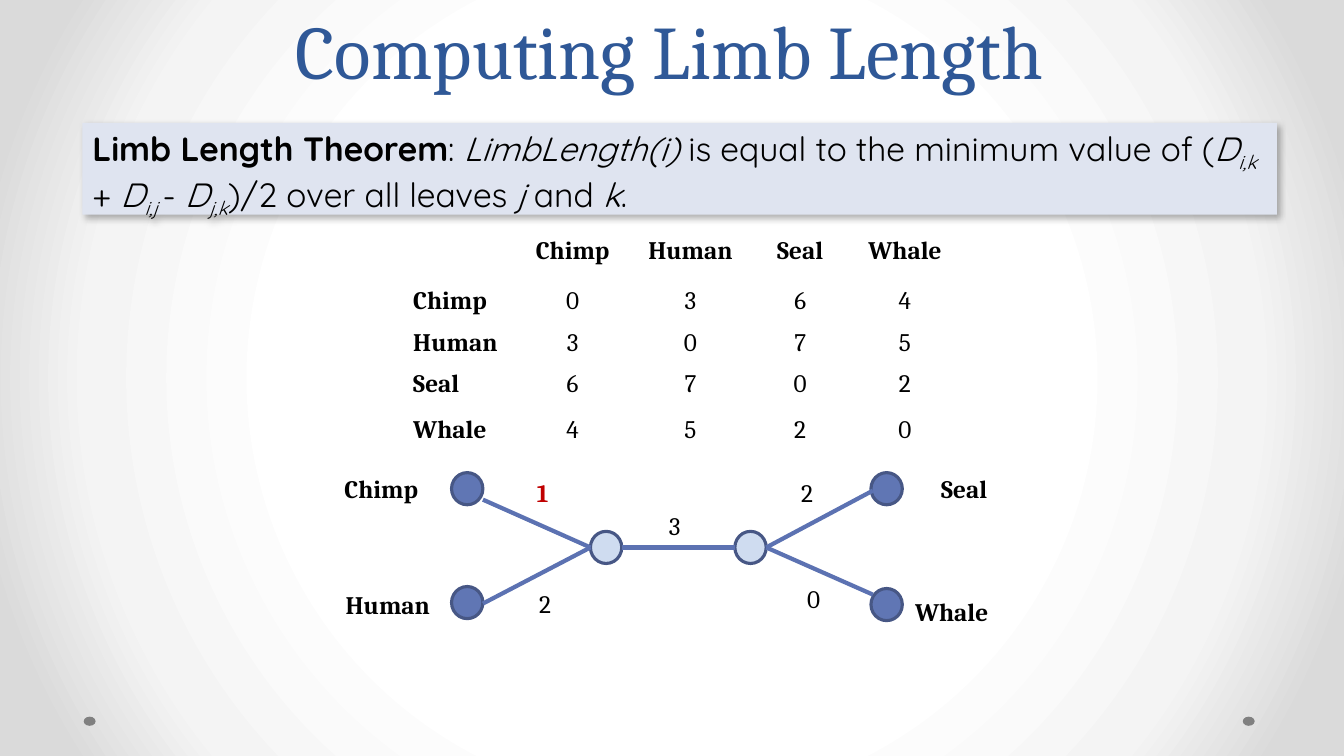
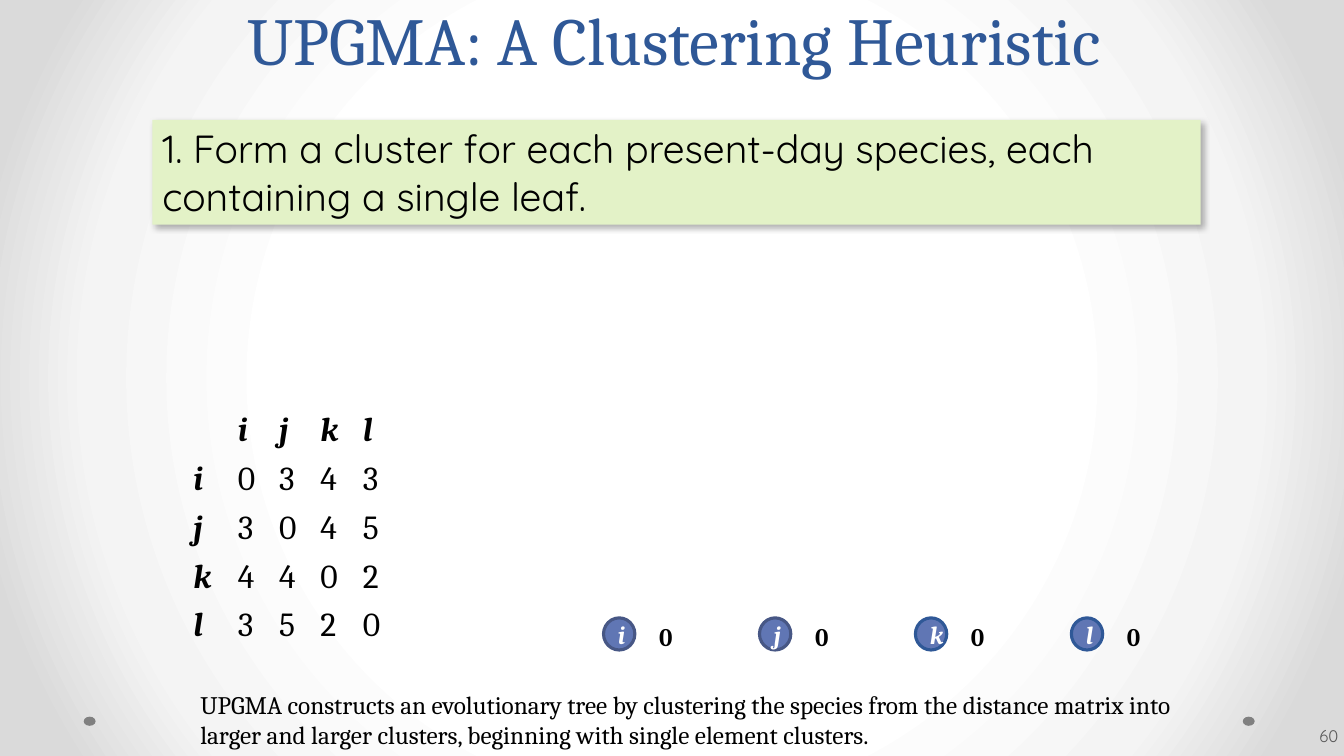
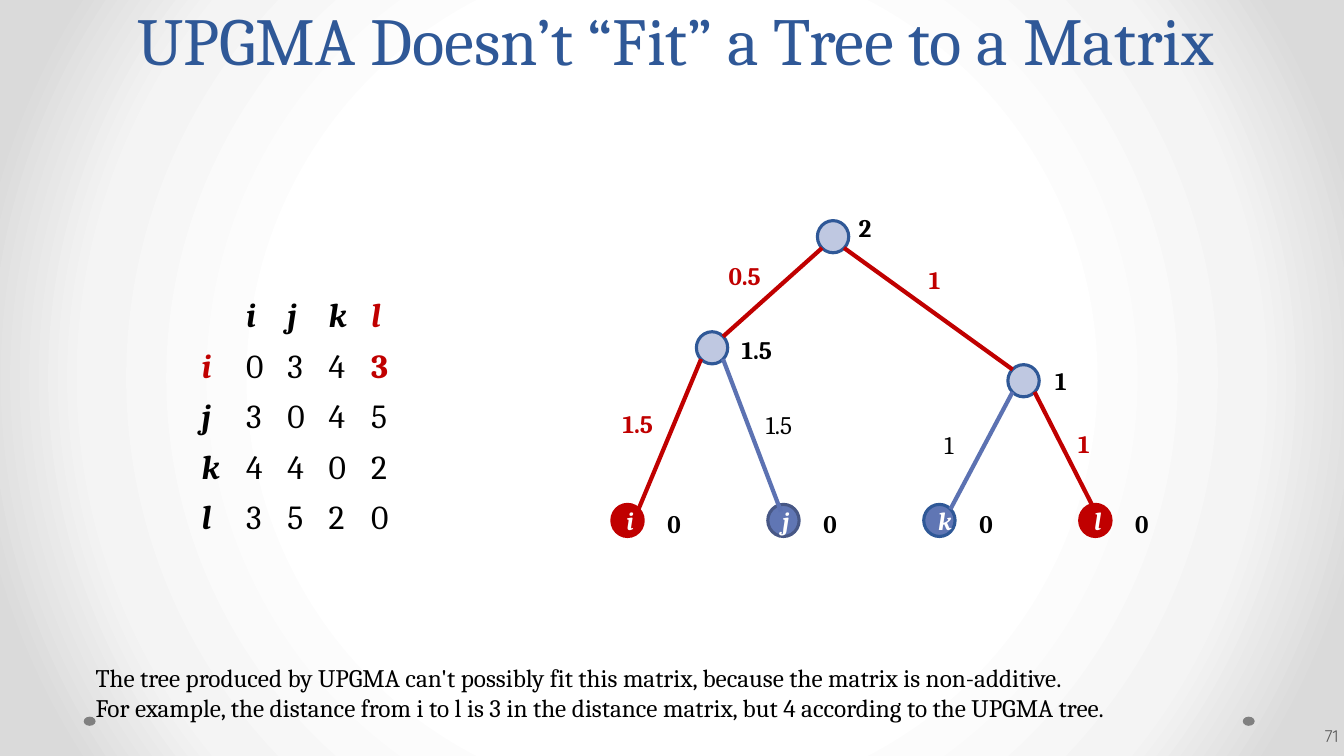
from itertools import product

from pptx import Presentation as Deck
from pptx.dml.color import RGBColor as Rgb
from pptx.enum.shapes import MSO_CONNECTOR as Link, MSO_SHAPE as Form
from pptx.enum.text import MSO_ANCHOR as Anchor, MSO_AUTO_SIZE as Fit, PP_ALIGN as Align
from pptx.oxml import parse_xml as to_xml
from pptx.oxml.ns import nsdecls, qn
from pptx.util import Cm, Pt


class Theme:
    serif, sans = "Cambria", "Quicksand"
    black, white, red = "000000", "FFFFFF", "C00000"
    title, page, dot = "2F5897", "595959", "808080"
    node, rim, edge = "6076B4", "475785", "5C72B2"
    pale, inner = "CFDCF0", "BFC8E1"
    blue, green = "DFE4F0", "E3F2C7"
    stops = (50, "FFFFFF"), (76, "F4F4F4"), (92, "DADADA")
    big, head, step, lead, cell, text, small = 54, 48, 58, 28, 24, 18, 12
    plain = "{2D5ABB26-0587-4C30-8999-92F81FD0307C}"


def put(item, **vals):
    for key, val in vals.items():
        setattr(item, key, val)


def ink(font, color=Theme.black, size=Theme.text, name=Theme.serif, **look):
    put(font, size=Pt(size), name=name, **look)
    font.color.rgb = Rgb.from_string(color)


def spot(node, across, down):
    return (int(node.left + node.width * across),
            int(node.top + node.height * down))


class Board:
    wide, high = 0.79, 0.81

    def __init__(self):
        self.deck = Deck()
        put(self.deck, slide_width=Cm(33.87), slide_height=Cm(19.05))
        self.slide = None
        self.master = self.deck.slide_master
        self.paint()

    def paint(self):
        stops = "".join(
            f'<a:gs pos="{pos * 1000}"><a:srgbClr val="{color}"/></a:gs>'
            for pos, color in Theme.stops)
        base = self.master.element.cSld
        for old in base.findall(qn("p:bg")):
            base.remove(old)
        base.insert(0, to_xml(
            f'<p:bg {nsdecls("p", "a")}><p:bgPr><a:gradFill rotWithShape="1">'
            f'<a:gsLst>{stops}</a:gsLst><a:path path="circle">'
            '<a:fillToRect l="50000" t="50000" r="50000" b="50000"/></a:path>'
            '</a:gradFill><a:effectLst/></p:bgPr></p:bg>'))

    def dots(self):
        for mark, left in ((90, 31.32), (91, 2.11)):
            dot = self.shape(Form.OVAL, (left, 18.06, 0.3, 0.23), Theme.dot)
            dot.element.nvSpPr.cNvPr.set("id", str(mark))
            self.master.shapes.element.append(dot.element)

    def start(self, text, box, size=Theme.head):
        first = self.slide is None
        self.slide = self.deck.slides.add_slide(self.deck.slide_layouts[5])
        if first:
            self.dots()
        title = self.slide.shapes.title
        put(title, **dict(zip(("left", "top", "width", "height"), map(Cm, box))))
        frame = title.text_frame
        put(frame, text=text, vertical_anchor=Anchor.BOTTOM, auto_size=Fit.NONE)
        line = frame.paragraphs[0]
        put(line, alignment=Align.CENTER, line_spacing=Pt(Theme.step))
        ink(line.runs[0].font, Theme.title, size)

    def shape(self, form, box, fill, rim=None):
        item = self.slide.shapes.add_shape(form, *map(Cm, box))
        item.shadow.inherit = False
        item.fill.solid()
        item.fill.fore_color.rgb = Rgb.from_string(fill)
        if rim:
            item.line.color.rgb = Rgb.from_string(rim)
            item.line.width = Pt(2.25)
        else:
            item.line.fill.background()
        return item

    def panel(self, box, fill, parts, size):
        item = self.shape(Form.RECTANGLE, box, fill)
        item.element.spPr.find(qn("a:effectLst")).append(to_xml(
            f'<a:outerShdw {nsdecls("a")} blurRad="57150" dist="33020" '
            'dir="3180000" algn="tl" rotWithShape="0"><a:srgbClr val="000000">'
            '<a:alpha val="30000"/></a:srgbClr></a:outerShdw>'))
        frame = item.text_frame
        put(frame, word_wrap=True, vertical_anchor=Anchor.TOP,
            auto_size=Fit.SHAPE_TO_FIT_TEXT)
        line = frame.paragraphs[0]
        line.alignment = Align.LEFT
        for text, kind in parts:
            run = line.add_run()
            run.text = text
            ink(run.font, size=size, name=Theme.sans,
                bold=kind == "bold", italic=kind in ("slant", "sub"))
            if kind == "sub":
                run.font._element.set("baseline", "-25000")

    def node(self, left, top, fill=Theme.node, rim=Theme.rim, text=""):
        item = self.shape(Form.OVAL, (left, top, self.wide, self.high), fill, rim)
        if text:
            line = item.text_frame.paragraphs[0]
            put(line, text=text, alignment=Align.CENTER)
            ink(line.runs[0].font, Theme.white, bold=True, italic=True)
        return item

    def edge(self, start, end, color=Theme.edge):
        item = self.slide.shapes.add_connector(
            Link.STRAIGHT, *spot(*start), *spot(*end))
        item.line.color.rgb = Rgb.from_string(color)
        item.line.width = Pt(3)
        item.element.spPr.append(to_xml(f'<a:effectLst {nsdecls("a")}/>'))

    def label(self, text, left, top, bold=False, color=Theme.black, width=None):
        width = width or 0.6 + 0.24 * len(text)
        frame = self.slide.shapes.add_textbox(
            *map(Cm, (left, top, width, 1.02))).text_frame
        put(frame, text=text, word_wrap=False, auto_size=Fit.SHAPE_TO_FIT_TEXT)
        ink(frame.paragraphs[0].runs[0].font, color, bold=bold)

    def note(self, box, *lines):
        frame = self.slide.shapes.add_textbox(*map(Cm, box)).text_frame
        put(frame, text="\n".join(lines), word_wrap=True,
            auto_size=Fit.SHAPE_TO_FIT_TEXT)
        for line in frame.paragraphs:
            ink(line.runs[0].font)

    def page(self, text):
        frame = self.slide.shapes.add_textbox(
            *map(Cm, (26.24, 18.03, 7.62, 1.02))).text_frame
        put(frame, text=text, word_wrap=True, vertical_anchor=Anchor.MIDDLE,
            margin_left=Cm(0.08), margin_right=Cm(0.13))
        line = frame.paragraphs[0]
        line.alignment = Align.RIGHT
        ink(line.runs[0].font, Theme.page, Theme.small, Theme.sans)

    def grid(self, left, top, names, rows, wides, highs, size,
             slant=False, align=Align.LEFT, hot=()):
        data = [["", *names]] + [[name, *row] for name, row in zip(names, rows)]
        item = self.slide.shapes.add_table(
            len(data), len(data[0]),
            *map(Cm, (left, top, sum(wides), sum(highs))))
        table = item.table
        put(table, first_row=False, horz_banding=False)
        next(item.element.iter(qn("a:tableStyleId"))).text = Theme.plain
        for col, wide in zip(table.columns, wides):
            col.width = Cm(wide)
        for row, high in zip(table.rows, highs):
            row.height = Cm(high)
        for r, c in product(range(len(data)), range(len(data[0]))):
            cell = table.cell(r, c)
            cell.fill.background()
            line = cell.text_frame.paragraphs[0]
            line.alignment = align if c else Align.LEFT
            if data[r][c]:
                line.text = data[r][c]
                head, lit = r == 0 or c == 0, (r, c) in hot
                ink(line.runs[0].font, Theme.red if lit else Theme.black, size,
                    bold=head or lit, italic=head and slant)

    def square(self, left, top, high, hot=()):
        self.grid(left, top, "ijkl", ("0343", "3045", "4402", "3520"),
                  (1.12, 1.04, 1.04, 1.07, 1.12), [high] * 5,
                  Theme.cell, slant=True, hot=hot)

    def leaves(self, left, top, hot=""):
        nodes = []
        for num, name in enumerate("ijkl"):
            spot_x = round(left + 3.93 * num, 2)
            lit = name in hot
            rim = Theme.rim if name in "ij" else Theme.title
            nodes.append(self.node(spot_x, top, Theme.red if lit else Theme.node,
                                   Theme.red if lit else rim, name))
            self.label("0", spot_x + 1.15, top - 0.03, bold=True)
        return nodes


def limb(board):
    board.start("Computing Limb Length", (1.63, 0, 30.48, 2.51), Theme.big)
    board.grid(10.16, 5.84, ("Chimp", "Human", "Seal", "Whale"),
               ("0364", "3075", "6702", "4520"),
               (2.72, 3.1, 2.84, 2.69, 2.59), (1.27, 1.04, 1.04, 1.17, 1.04),
               Theme.text, align=Align.CENTER)
    chimp, human = board.node(11.38, 11.91), board.node(11.38, 14.78)
    west, east = (board.node(left, 13.39, Theme.pale) for left in (14.88, 18.52))
    seal, whale = board.node(21.95, 11.91), board.node(21.95, 14.83)
    for start, end in (((chimp, 1, 0.84), (west, 0, 0.5)),
                       ((human, 1, 0.53), (west, 0, 0.5)),
                       ((east, 1, 0.5), (whale, 0.06, 0.19)),
                       ((east, 1, 0.5), (seal, 0.06, 0.56)),
                       ((west, 1, 0.5), (east, 0, 0.5))):
        board.edge(start, end)
    board.label("1", 13.28, 11.91, True, Theme.red)
    for text, left, top in (("3", 16.61, 12.73), ("2", 13.34, 14.71),
                            ("2", 19.94, 11.91), ("0", 20.09, 14.58)):
        board.label(text, left, top)
    for text, left, top, width in (("Chimp", 8.43, 11.79, 2.54),
                                   ("Human", 8.46, 14.73, 2.72),
                                   ("Whale", 22.81, 14.91, 2.41),
                                   ("Seal", 23.47, 11.81, 1.75)):
        board.label(text, left, top, True, width=width)
    board.panel((2.08, 3.1, 30.1, 2.31), Theme.blue, (
        ("Limb Length Theorem", "bold"), (": ", ""), ("LimbLength(i) ", "slant"),
        ("is equal to the minimum value of (", ""), ("D", "slant"),
        ("i,k ", "sub"), ("+ ", ""), ("D", "slant"), ("i,j ", "sub"), ("- ", ""),
        ("D", "slant"), ("j,k", "sub"), (")/2 over all leaves ", ""),
        ("j", "slant"), (" and ", ""), ("k", "slant"), (".", "")), Theme.cell)


def cluster(board):
    board.start("UPGMA: A Clustering Heuristic", (1.75, 0, 30.48, 2.11))
    board.square(4.62, 10.24, 1.23)
    board.panel((3.84, 3.02, 26.42, 2.64), Theme.green, (
        ("1. Form a cluster for each present-day species, "
         "each containing a single leaf.", ""),), Theme.lead)
    board.leaves(15.21, 15.57)
    board.page("60")
    board.note((4.8, 17.25, 25.63, 1.8),
               "UPGMA constructs an evolutionary tree by clustering the species "
               "from the distance matrix into larger and larger clusters, "
               "beginning with single element clusters.")


def misfit(board):
    board.start("UPGMA Doesn’t “Fit” a Tree to a Matrix", (1.3, 0, 31.47, 2.11))
    i, j, k, l = board.leaves(15.42, 12.71, "il")
    west, east, root = (
        board.node(left, top, Theme.inner, Theme.title)
        for left, top in ((17.55, 8.36), (25.4, 9.19), (20.6, 5.56)))
    near, far = 0.15, 0.85
    for start, end, color in (
            ((i, far, near), (west, near, far), Theme.red),
            ((j, 0.42, 0.22), (west, far, far), Theme.edge),
            ((k, far, near), (east, near, far), Theme.edge),
            ((l, 0.5, 0.22), (east, far, far), Theme.red),
            ((west, far, near), (root, near, far), Theme.red),
            ((root, far, far), (east, near, near), Theme.red)):
        board.edge(start, end, color)
    for text, left, top in (("1", 26.34, 9.09), ("1.5", 18.44, 8.31),
                            ("2", 21.39, 5.23)):
        board.label(text, left, top, True)
    for text, left, top in (("1", 26.92, 10.67), ("1.5", 15.44, 10.16),
                            ("0.5", 18.11, 6.43), ("1", 23.16, 6.53)):
        board.label(text, left, top, True, Theme.red)
    for text, left, top in (("1", 23.55, 10.69), ("1.5", 19.05, 10.19)):
        board.label(text, left, top)
    board.square(4.83, 7.37, 1.27, {(0, 4), (1, 0), (1, 4)})
    board.page("71")
    board.note((2.16, 16.56, 29.97, 1.8),
               "The tree produced by UPGMA can't possibly fit this matrix, "
               "because the matrix is non-additive.",
               "For example, the distance from i to l is 3 in the distance "
               "matrix, but 4 according to the UPGMA tree.")


def main():
    board = Board()
    for draw in (limb, cluster, misfit):
        draw(board)
    board.deck.save("out.pptx")


if __name__ == "__main__":
    main()
